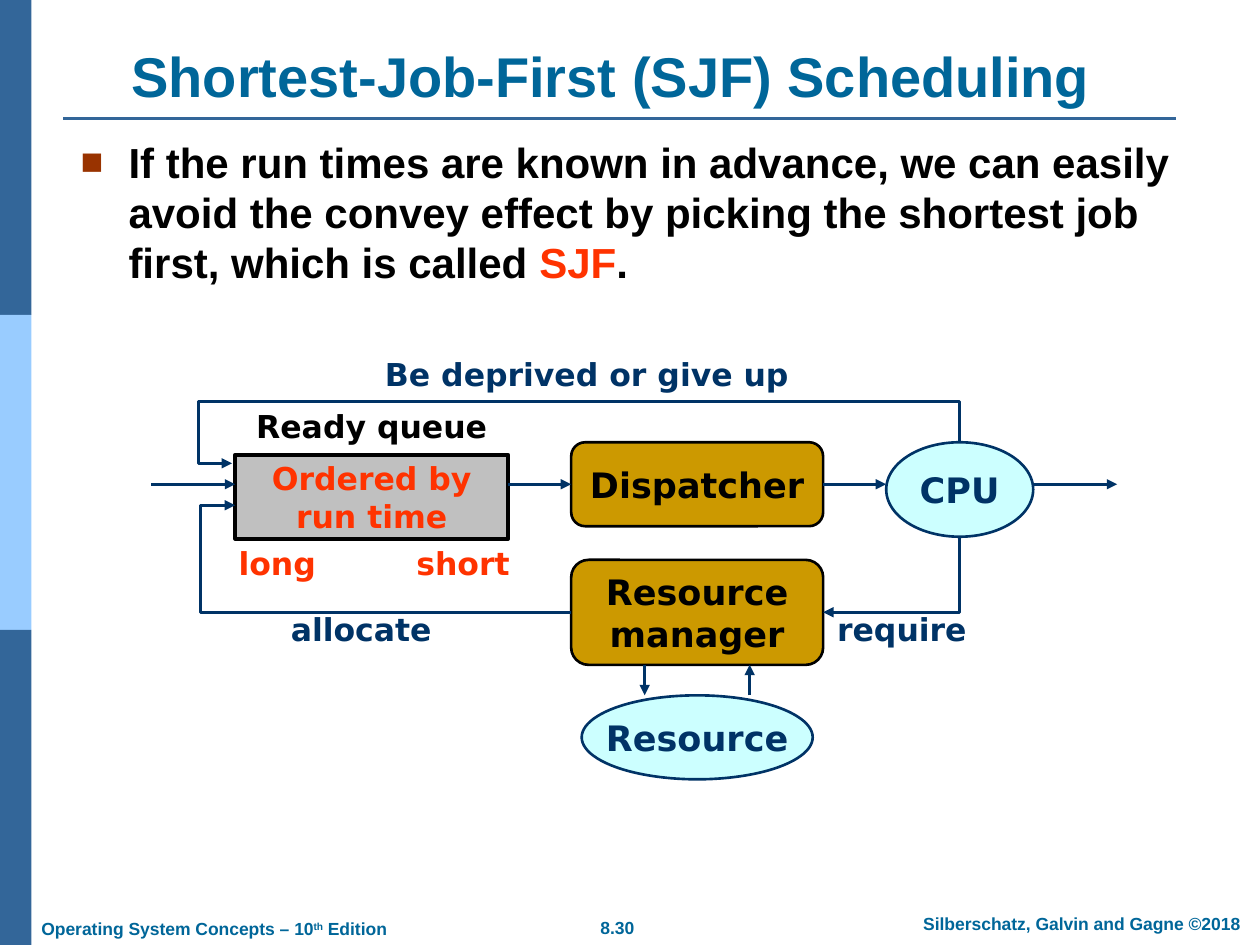
from lxml.etree import SubElement
from pptx import Presentation
from pptx.dml.color import RGBColor
from pptx.enum.shapes import MSO_CONNECTOR, MSO_SHAPE
from pptx.enum.text import MSO_ANCHOR, MSO_AUTO_SIZE, PP_ALIGN
from pptx.oxml.ns import qn
from pptx.util import Inches, Pt

BLUE, SKY, TEAL, NAVY = "336699", "99CCFF", "006699", "003366"
RED, BLACK, GOLD, ICE, GREY = "FF3300", "000000", "CC9900", "CCFFFF", "C0C0C0"
rgb = RGBColor.from_string


def write(frame, *lines, size=18, font="DejaVu Sans", color=NAVY,
          align=PP_ALIGN.CENTER, anchor=MSO_ANCHOR.TOP, wrap=True):
    """Fill a frame; a line is a string or a list of (text, color, baseline)."""
    frame.auto_size = MSO_AUTO_SIZE.NONE
    frame.word_wrap = wrap
    frame.vertical_anchor = anchor
    for number, line in enumerate(lines):
        paragraph = frame.add_paragraph() if number else frame.paragraphs[0]
        paragraph.alignment = align
        parts = [(line, color, 0)] if isinstance(line, str) else line
        for text, part_color, baseline in parts:
            run = paragraph.add_run()
            run.text = text
            run.font.size = Pt(size)
            run.font.name = font
            run.font.bold = True
            run.font.color.rgb = rgb(part_color)
            if baseline:
                run.font._element.set("baseline", str(baseline))


def cell(column, row):
    """Position on the diagram's grid, whose cells are 1/12 inch wide and high."""
    return Inches(1.2 + column / 12), Inches(3.51 + row / 12)


deck = Presentation()
deck.slide_width, deck.slide_height = Inches(10), Inches(7.5)
slide = deck.slides.add_slide(deck.slide_layouts[1])
shapes = slide.shapes

# Side bar in three equal parts, and the rule under the title
third = deck.slide_height // 3
for number, color in enumerate((BLUE, SKY, BLUE)):
    bar = shapes.add_shape(MSO_SHAPE.RECTANGLE, 0, number * third, Inches(0.25), third)
    bar.shadow.inherit = False
    bar.fill.solid()
    bar.fill.fore_color.rgb = rgb(color)
    bar.line.fill.background()

rule = shapes.add_connector(MSO_CONNECTOR.STRAIGHT, Inches(0.5), Inches(0.94),
                            Inches(9.33), Inches(0.94))
rule.line.color.rgb = rgb(BLUE)
rule.line.width = Pt(1.5)
SubElement(rule._element.spPr, qn("a:effectLst"))

# Title and statement
title, statement = shapes.title, slide.placeholders[1]
title.left, title.top, title.width, title.height = map(Inches, (0.35, 0.36, 9, 0.55))
write(title.text_frame, "Shortest-Job-First (SJF) Scheduling", size=32,
      font="Arial", color=TEAL, anchor=MSO_ANCHOR.BOTTOM)

statement.left, statement.top, statement.width, statement.height = map(
    Inches, (0.54, 1.03, 9, 5.42))
write(statement.text_frame,
      [("If the run times are known in advance, we can easily avoid the convey effect "
        "by picking the shortest job first, which is called ", BLACK, 0),
       ("SJF", RED, 0), (".", BLACK, 0)],
      size=24, font="Arial", align=PP_ALIGN.LEFT)
bullet_line = statement.text_frame.paragraphs[0]
bullet_line.space_before = Pt(10.5)
bullet = bullet_line._p.get_or_add_pPr()
bullet.set("marL", str(Inches(0.38)))
bullet.set("indent", str(Inches(-0.38)))
SubElement(SubElement(bullet, qn("a:buClr")), qn("a:srgbClr"), val="993300")
SubElement(bullet, qn("a:buSzPct"), val="90000")
SubElement(bullet, qn("a:buFont"), typeface="Arial")
SubElement(bullet, qn("a:buChar"), char="■")

# Nodes: kind, column, row, columns, rows, fill, outline, weight, text color, size, lines
RECT, ROUND, OVAL = MSO_SHAPE.RECTANGLE, MSO_SHAPE.ROUNDED_RECTANGLE, MSO_SHAPE.OVAL
nodes = [
    (RECT, 8, 1.2, 26, 8, GREY, BLACK, 2.25, RED, 18, ["Ordered by run time"]),
    (ROUND, 40, 0, 24, 8, GOLD, BLACK, 1.5, BLACK, 20, ["Dispatcher"]),
    (ROUND, 40, 11.2, 24, 10, GOLD, BLACK, 1.5, BLACK, 20, ["Resource", "manager"]),
    (OVAL, 41, 24.1, 22, 8, ICE, NAVY, 1.5, NAVY, 20, ["Resource"]),
    (OVAL, 70, 0, 14, 9, ICE, NAVY, 1.5, NAVY, 20, ["CPU"]),
]
for kind, column, row, columns, rows, fill, outline, weight, color, size, lines in nodes:
    node = shapes.add_shape(kind, *cell(column, row), Inches(columns / 12), Inches(rows / 12))
    node.shadow.inherit = False
    node.fill.solid()
    node.fill.fore_color.rgb = rgb(fill)
    node.line.color.rgb = rgb(outline)
    node.line.width = Pt(weight)
    write(node.text_frame, *lines, size=size, color=color,
          anchor=MSO_ANCHOR.MIDDLE, wrap=kind == RECT)

# Arrows through their grid points
routes = [
    [(0, 4), (8, 4)],
    [(34, 4), (40, 4)],
    [(64, 4), (70, 4)],
    [(84, 4), (92, 4)],
    [(47, 21.2), (47, 24.1)],
    [(57, 24.1), (57, 21.2)],
    [(77, 9), (77, 16.2), (64, 16.2)],
    [(40, 16.2), (4.7, 16.2), (4.7, 6), (8, 6)],
    [(77, 0), (77, -3.9), (4.5, -3.9), (4.5, 2), (7.7, 2)],
]
for route in routes:
    start, *bends = [cell(*point) for point in route]
    if len(bends) == 1:
        arrow = shapes.add_connector(MSO_CONNECTOR.STRAIGHT, *start, *bends[0])
    else:
        outline = shapes.build_freeform(*start)
        outline.add_line_segments(bends, close=False)
        arrow = outline.convert_to_shape()
        arrow.fill.background()
    arrow.line.color.rgb = rgb(NAVY)
    arrow.line.width = Pt(1.5)
    properties = arrow._element.spPr
    SubElement(properties.get_or_add_ln(), qn("a:tailEnd"), type="triangle")
    SubElement(properties, qn("a:effectLst"))

# Labels: text, column, row, columns, color
labels = [
    ("allocate", 7, 15.4, 26, NAVY),
    ("Be deprived or give up", 21, -8.9, 41, NAVY),
    ("require", 63, 15.4, 17, NAVY),
    ("Ready queue", 8, -3.9, 26, BLACK),
    ("short", 24, 9.1, 11.4, RED),
    ("long", 7, 9.1, 10, RED),
]
for text, column, row, columns, color in labels:
    label = shapes.add_textbox(*cell(column, row), Inches(columns / 12), Inches(0.4))
    write(label.text_frame, text, color=color)

# Footer: left, top, width, alignment, line
footers = [
    (0.23, 7.24, 2.94, PP_ALIGN.LEFT,
     [("Operating System Concepts – 10", TEAL, 0), ("th", TEAL, 30000),
      (" Edition", TEAL, 0)]),
    (4.41, 7.23, 0.98, PP_ALIGN.CENTER, "8.30"),
    (7.1, 7.2, 2.97, PP_ALIGN.CENTER, "Silberschatz, Galvin and Gagne ©2018"),
]
for left, top, width, align, line in footers:
    footer = shapes.add_textbox(*map(Inches, (left, top, width, 0.27)))
    write(footer.text_frame, line, size=10, font="Arial", color=TEAL, align=align)

deck.save("out.pptx")
